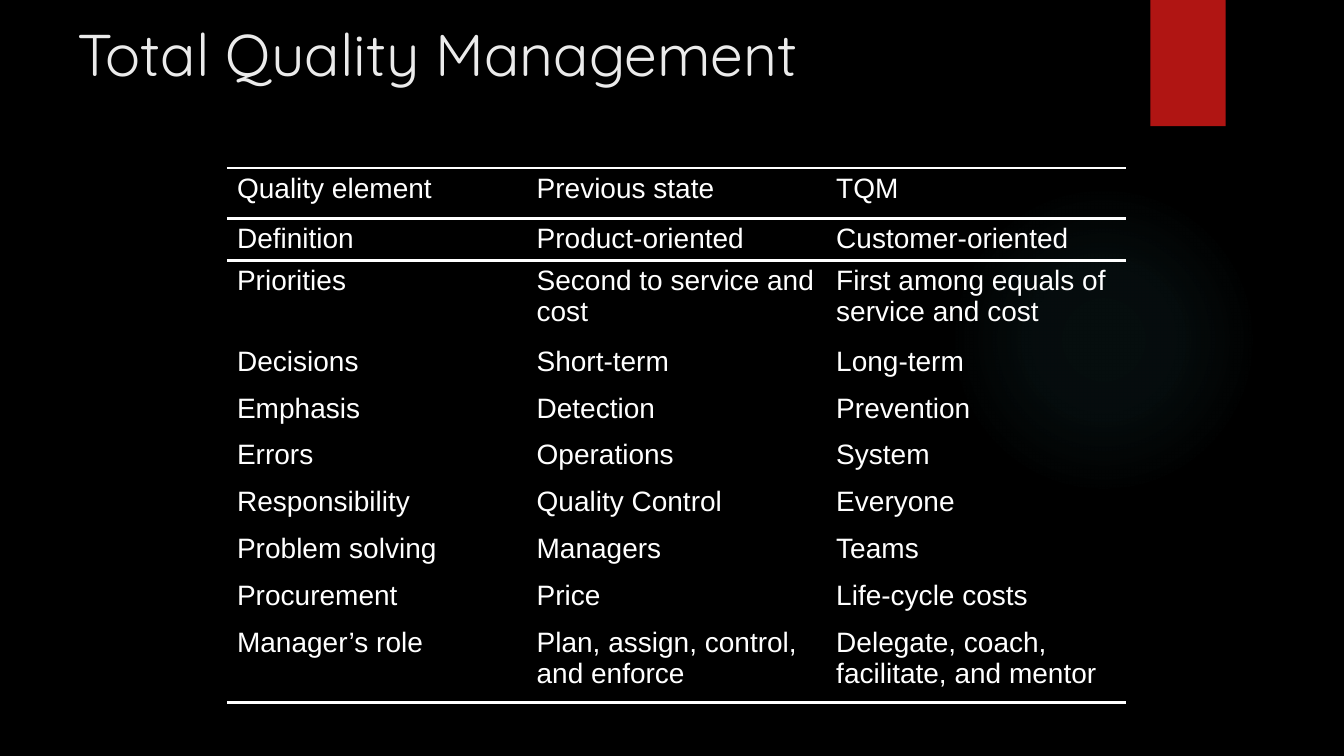
"""Build a slide comparing quality elements before and under Total Quality Management."""
from lxml import etree
from pptx import Presentation
from pptx.dml.color import RGBColor
from pptx.enum import shapes, text
from pptx.oxml import ns
from pptx.util import Cm, Pt

BLACK = RGBColor(0x00, 0x00, 0x00)
WHITE = RGBColor(0xFF, 0xFF, 0xFF)
TITLE_GREY = RGBColor(0xEB, 0xEB, 0xEB)
RED = RGBColor(0xB0, 0x15, 0x13)
TEAL = RGBColor(0x50, 0xB9, 0xC1)

GLOW_STOPS = [(0, 7), (36, 6), (69, 0)]
NO_STYLE = "{2D5ABB26-0587-4C30-8999-92F81FD0307C}"
ROWS = [
    ("Quality element", "Previous state", "TQM"),
    ("Definition", "Product-oriented", "Customer-oriented"),
    ("Priorities", "Second to service and cost", "First among equals of service and cost"),
    ("Decisions", "Short-term", "Long-term"),
    ("Emphasis", "Detection", "Prevention"),
    ("Errors", "Operations", "System"),
    ("Responsibility", "Quality Control", "Everyone"),
    ("Problem solving", "Managers", "Teams"),
    ("Procurement", "Price", "Life-cycle costs"),
    ("Manager’s role", "Plan, assign, control, and enforce", "Delegate, coach, facilitate, and mentor"),
]
ROW_HEIGHTS = [1.27, 1.06, 2.03] + [1.18] * 6 + [2.03]
COLUMN_WIDTH = 7.55
BORDERS = {0: ("lnT", "lnB"), 1: ("lnT",), len(ROWS) - 1: ("lnB",)}


def format_run(p, font, size, color):
    r = p.runs[0]
    r.font.name = font
    r.font.size = Pt(size)
    r.font.bold = False
    r.font.color.rgb = color


def add_border(tc_pr, side):
    ln = etree.SubElement(tc_pr, ns.qn(f"a:{side}"), w=str(Pt(2.25)))
    fill = etree.SubElement(ln, ns.qn("a:solidFill"))
    etree.SubElement(fill, ns.qn("a:srgbClr"), val=str(WHITE))


prs = Presentation()
prs.slide_width, prs.slide_height = Cm(33.87), Cm(19.05)
s = prs.slides.add_slide(prs.slide_layouts[5])
s.background.fill.solid()
s.background.fill.fore_color.rgb = BLACK

glow = s.shapes.add_shape(shapes.MSO_SHAPE.OVAL, Cm(23.9), Cm(4.65), Cm(7.82), Cm(7.82))
glow.shadow.inherit = False
glow.line.fill.background()
glow.fill.background()
grad = etree.Element(ns.qn("a:gradFill"), rotWithShape="1")
stops = etree.SubElement(grad, ns.qn("a:gsLst"))
for pos, alpha in GLOW_STOPS:
    gs = etree.SubElement(stops, ns.qn("a:gs"), pos=str(pos * 1000))
    clr = etree.SubElement(gs, ns.qn("a:srgbClr"), val=str(TEAL))
    etree.SubElement(clr, ns.qn("a:alpha"), val=str(alpha * 1000))
circle = etree.SubElement(grad, ns.qn("a:path"), path="circle")
etree.SubElement(circle, ns.qn("a:fillToRect"), l="50000", t="50000", r="50000", b="50000")
sp_pr = glow.element.spPr
sp_pr.replace(sp_pr.find(ns.qn("a:noFill")), grad)

tab = s.shapes.add_shape(shapes.MSO_SHAPE.RECTANGLE, Cm(28.99), 0, Cm(1.9), Cm(3.18))
tab.shadow.inherit = False
tab.fill.solid()
tab.fill.fore_color.rgb = RED
tab.line.fill.background()

title = s.shapes.title
title.left, title.top, title.width, title.height = Cm(1.7), Cm(0.33), Cm(27.94), Cm(3.61)
tf = title.text_frame
tf.text = "Total Quality Management"
tf.word_wrap = True
tf.vertical_anchor = text.MSO_ANCHOR.TOP
tf.paragraphs[0].alignment = text.PP_ALIGN.LEFT
format_run(tf.paragraphs[0], "Quicksand", 42, TITLE_GREY)
s.shapes.element.append(title.element)

frame = s.shapes.add_table(len(ROWS), len(ROWS[0]), Cm(5.72), Cm(4.23),
                           Cm(COLUMN_WIDTH * len(ROWS[0])), Cm(sum(ROW_HEIGHTS)))
table = frame.table
table.first_row = table.horz_banding = False
frame.element.find(".//" + ns.qn("a:tableStyleId")).text = NO_STYLE
for column in table.columns:
    column.width = Cm(COLUMN_WIDTH)
for i, (row, height) in enumerate(zip(ROWS, ROW_HEIGHTS)):
    table.rows[i].height = Cm(height)
    for j, words in enumerate(row):
        cell = table.cell(i, j)
        cell.text_frame.text = words
        format_run(cell.text_frame.paragraphs[0], "Arial", 20, WHITE)
        tc_pr = cell._tc.get_or_add_tcPr()
        for side in BORDERS.get(i, ()):
            add_border(tc_pr, side)
        cell.fill.background()

prs.save("out.pptx")
